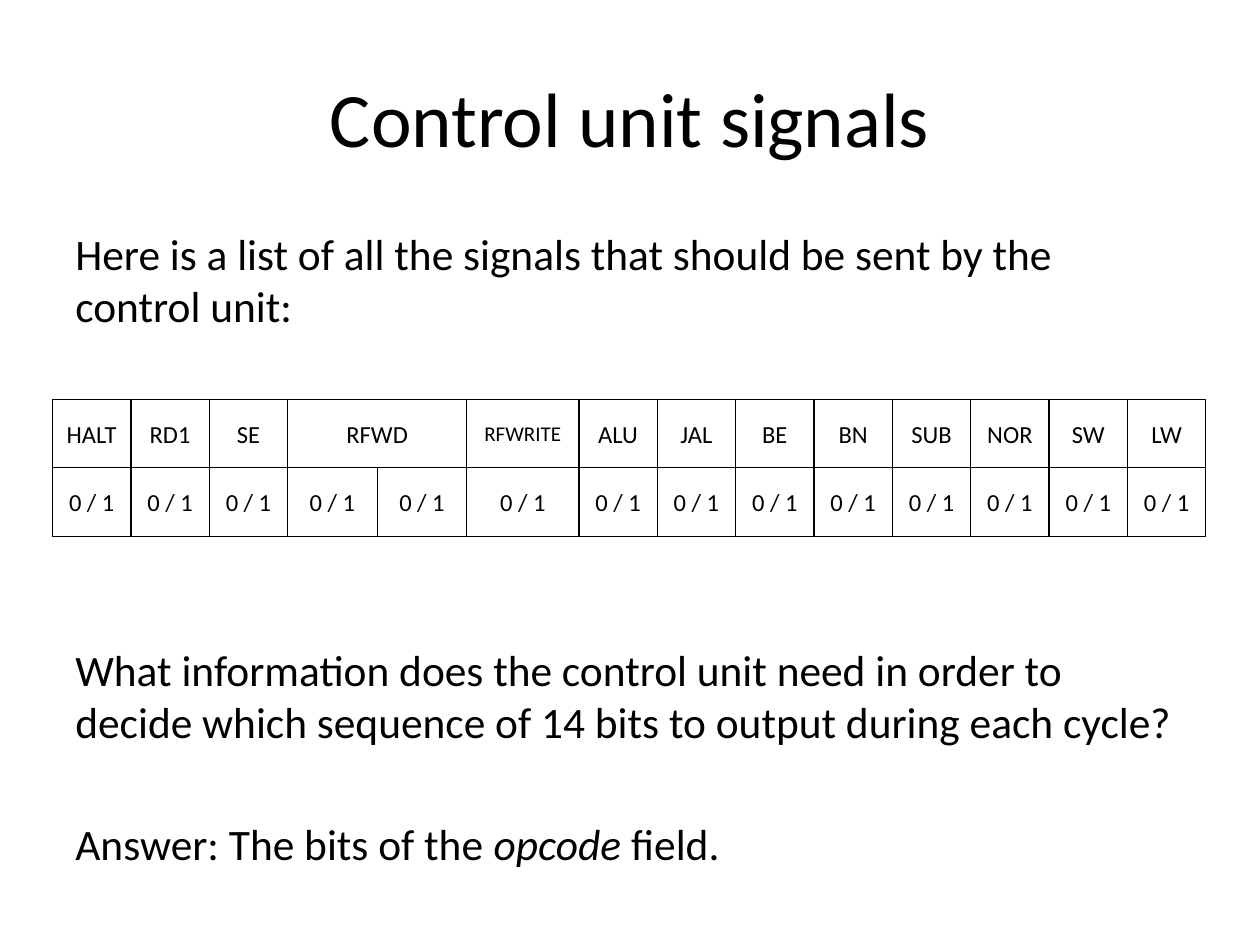
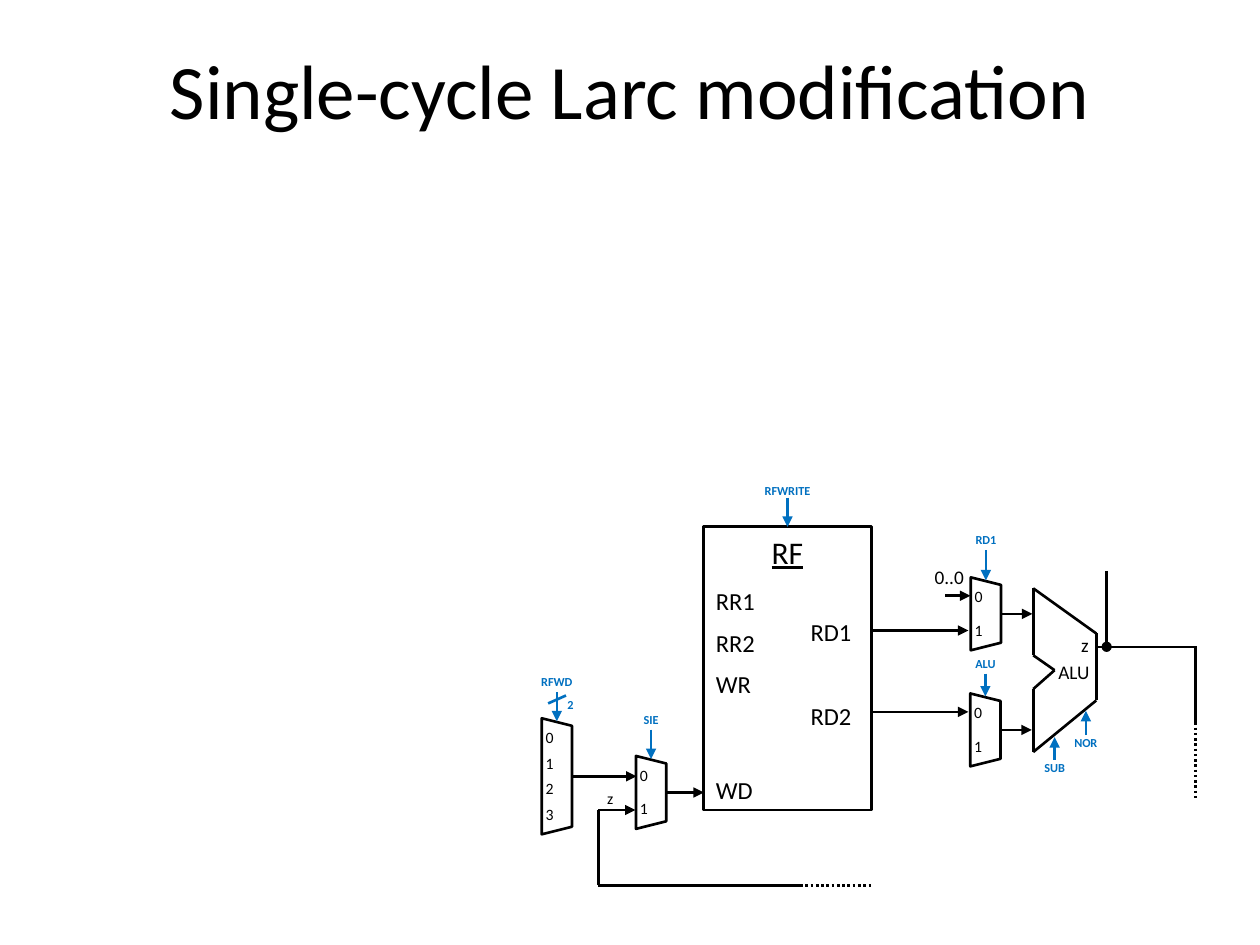
from itertools import pairwise
from lxml.etree import SubElement
from pptx import Presentation
from pptx.dml.color import RGBColor
from pptx.enum.dml import MSO_LINE
from pptx.enum.shapes import MSO_CONNECTOR, MSO_SHAPE
from pptx.enum.text import MSO_ANCHOR, PP_ALIGN
from pptx.oxml.ns import qn
from pptx.util import Cm, Pt

FONT = "Calibri"
BLACK = "000000"
BLUE = "0070C0"
MUX_W = 0.61
SIGNALS = ["HALT", "RD1", "SE", "RFWD", "RFWRITE", "ALU", "JAL",
           "BE", "BN", "SUB", "NOR", "SW", "LW"]
SIGNAL_W = {"RFWD": 3.61, "RFWRITE": 2.26}
SIGNAL_BITS = {"RFWD": 2}


def rgb(value):
    return RGBColor.from_string(value)


def style(p, size, color=BLACK, bold=False, align=PP_ALIGN.LEFT):
    p.alignment = align
    for r in p.runs:
        r.font.name = FONT
        r.font.size = Pt(size)
        r.font.bold = bold
        r.font.color.rgb = rgb(color)


def write(sp, text, size, color=BLACK, bold=False,
          align=PP_ALIGN.CENTER, inset=0):
    tf = sp.text_frame
    tf.word_wrap = True
    tf.vertical_anchor = MSO_ANCHOR.MIDDLE
    tf.margin_left = tf.margin_right = Cm(inset)
    tf.margin_top = tf.margin_bottom = 0
    tf.text = text
    style(tf.paragraphs[0], size, color, bold, align)


def label(s, box, *args, **kwargs):
    write(s.shapes.add_textbox(*map(Cm, box)), *args, **kwargs)


def title(s, box, text):
    label(s, box, text, 44, inset=0.25)


def wire(s, start, end, color=BLACK, arrow=False, dotted=False):
    cx = s.shapes.add_connector(MSO_CONNECTOR.STRAIGHT,
                                *map(Cm, (*start, *end)))
    cx.line.color.rgb = rgb(color)
    cx.line.width = Pt(1.5)
    if dotted:
        cx.line.dash_style = MSO_LINE.ROUND_DOT
    if arrow:
        SubElement(cx.line._get_or_add_ln(), qn("a:tailEnd"), type="triangle")
    SubElement(cx._element.spPr, qn("a:effectLst"))
    return cx


def outlined(s, kind, box, width=1.5):
    sp = s.shapes.add_shape(kind, *map(Cm, box))
    sp.shadow.inherit = False
    sp.fill.background()
    sp.line.color.rgb = rgb(BLACK)
    sp.line.width = Pt(width)
    return sp


def control(s, name, x, start, end, gap=0.36):
    top = start - gap if end > start else start
    label(s, (x - 0.74, top, 1.48, 0.3), name, 7, BLUE, True)
    return wire(s, (x, start), (x, end), BLUE, arrow=True)


def signal_cell(s, box, text):
    sp = outlined(s, MSO_SHAPE.RECTANGLE, box, 0.75)
    write(sp, text, 12 if text == "RFWRITE" else 14)


def signal_fields(s, x, y, row_h):
    for name in SIGNALS:
        w = SIGNAL_W.get(name, 1.58)
        signal_cell(s, (x, y, w, row_h), name)
        bits = SIGNAL_BITS.get(name, 1)
        for i in range(bits):
            box = (x + i * w / bits, y + row_h, w / bits, row_h)
            signal_cell(s, box, "0 / 1")
        x += w


def body(s, box):
    tf = s.shapes.add_textbox(*map(Cm, box)).text_frame
    tf.word_wrap = True
    paragraphs = [
        (0, ["Here is a list of all the signals that should be sent by the "
             "control unit:"]),
        (178.5, ["What information does the control unit need in order to "
                 "decide which sequence of 14 bits to output during each "
                 "cycle?"]),
        (39.5, ["Answer: The bits of the ", "opcode", " field."]),
    ]
    for i, (space, texts) in enumerate(paragraphs):
        p = tf.add_paragraph() if i else tf.paragraphs[0]
        p.space_before = Pt(space)
        for text in texts:
            r = p.add_run()
            r.text = text
            r.font.italic = text == "opcode"
        style(p, 24.8)


def register_file(s, x, y, w, h):
    sp = outlined(s, MSO_SHAPE.RECTANGLE, (x, y, w, h))
    tf = sp.text_frame
    tf.vertical_anchor = MSO_ANCHOR.TOP
    tf.text = "RF"
    p = tf.paragraphs[0]
    style(p, 18, align=PP_ALIGN.CENTER)
    p.runs[0].font.underline = True
    ports = [("RR1", 0, 1.07), ("RR2", 0, 1.91), ("WR", 0, 2.74),
             ("WD", 0, 4.88), ("RD1", 1.91, 1.7), ("RD2", 1.91, 3.38)]
    for name, dx, dy in ports:
        label(s, (x + dx, y + dy, 1.48, 0.84), name, 14,
              align=PP_ALIGN.LEFT, inset=0.25)
    enable = control(s, "RFWRITE", x + w / 2, y - 0.59, y, gap=0.3)
    enable.end_connect(sp, 0)
    for dy in (2.09, 3.73):
        wire(s, (x + w, y + dy), (x + w + 1.95, y + dy), arrow=True)


def mux(s, x, y, h, inputs, name, control_h, out_w):
    mid_x, mid_y = x + MUX_W / 2, y + h / 2
    sp = outlined(s, MSO_SHAPE.TRAPEZOID,
                  (mid_x - h / 2, mid_y - MUX_W / 2, h, MUX_W))
    sp.rotation = 90
    step = (h - 0.79) / (inputs - 1)
    for i in range(inputs):
        label(s, (x + 0.02, y + 0.2 + i * step, 0.28, 0.36), str(i), 9)
    control(s, name, mid_x, y + 0.06 - control_h, y + 0.06)
    right = x + MUX_W
    wire(s, (right, mid_y), (right + out_w, mid_y), arrow=True)


def alu(s, x, y):
    points = [(0, 0), (1.27, 0.91), (1.27, 2.26), (0, 3.3), (0, 2.03),
              (0.43, 1.65), (0, 1.35), (0, 0)]
    corners = [(x + dx, y + dy) for dx, dy in points]
    for start, end in pairwise(corners):
        wire(s, start, end)
    label(s, (x + 0.02, y + 1.4, 1.6, 0.56), "ALU", 11)
    label(s, (x + 0.2, y + 0.86, 1.17, 0.56), "z", 11,
          align=PP_ALIGN.RIGHT, inset=0.25)
    control(s, "SUB", x + 0.43, y + 3.46, y + 3)
    control(s, "NOR", x + 1.06, y + 2.96, y + 2.47)


def z_output(s, x, y):
    wire(s, (x, y), (x + 2.02, y))
    wire(s, (x + 2, y), (x + 2, y + 1.52))
    wire(s, (x + 2, y + 1.52), (x + 2, y + 3.04), dotted=True)
    wire(s, (x + 0.21, y - 1.53), (x + 0.21, y))
    dot = outlined(s, MSO_SHAPE.OVAL, (x + 0.12, y - 0.09, 0.18, 0.18), 0.75)
    dot.fill.solid()
    dot.fill.fore_color.rgb = rgb(BLACK)


def z_feedback(s, x, y):
    low = y + 1.52
    wire(s, (x, y), (x + 0.75, y), arrow=True)
    wire(s, (x, y), (x, low))
    wire(s, (x, low), (x + 4.07, low))
    wire(s, (x + 4.07, low), (x + 5.54, low), dotted=True)
    label(s, (x + 0.1, y - 0.42, 0.28, 0.36), "z", 9)


def bus_width(s, x, y):
    wire(s, (x + 0.18, y - 0.08), (x - 0.18, y + 0.08), BLUE)
    label(s, (x + 0.12, y - 0.05, 0.3, 0.3), "2", 7, BLUE, True)


def zero_input(s, x, y):
    wire(s, (x, y), (x + 0.51, y), arrow=True)
    label(s, (x - 0.89, y - 0.58, 1.52, 0.41), "0..0", 11,
          align=PP_ALIGN.RIGHT, inset=0.25)


def signals_slide(s):
    body(s, (1.27, 4.45, 22.86, 12.57))
    title(s, (1.27, 0.76, 22.86, 3.18), "Control unit signals")
    signal_fields(s, 1.06, 8.05, 1.38)


def datapath_slide(s):
    title(s, (0, 0.76, 25.4, 2.06), "Single-cycle Larc modification")
    register_file(s, 14.18, 10.62, 3.39, 5.71)
    mux(s, 10.92, 14.48, 2.34, 4, "RFWD", 0.59, 1.3)
    mux(s, 12.82, 15.24, 1.47, 2, "SIE", 0.59, 0.76)
    mux(s, 19.56, 13.98, 1.47, 2, "ALU", 0.46, 0.63)
    mux(s, 19.57, 11.64, 1.47, 2, "RD1", 0.61, 0.63)
    bus_width(s, 11.23, 14.1)
    zero_input(s, 19.05, 12.01)
    alu(s, 20.83, 11.86)
    z_output(s, 22.1, 13.04)
    z_feedback(s, 12.06, 16.33)


def main():
    prs = Presentation()
    prs.slide_width, prs.slide_height = Cm(25.4), Cm(19.05)
    for fill_slide in (signals_slide, datapath_slide):
        fill_slide(prs.slides.add_slide(prs.slide_layouts[6]))
    prs.save("out.pptx")


if __name__ == "__main__":
    main()
